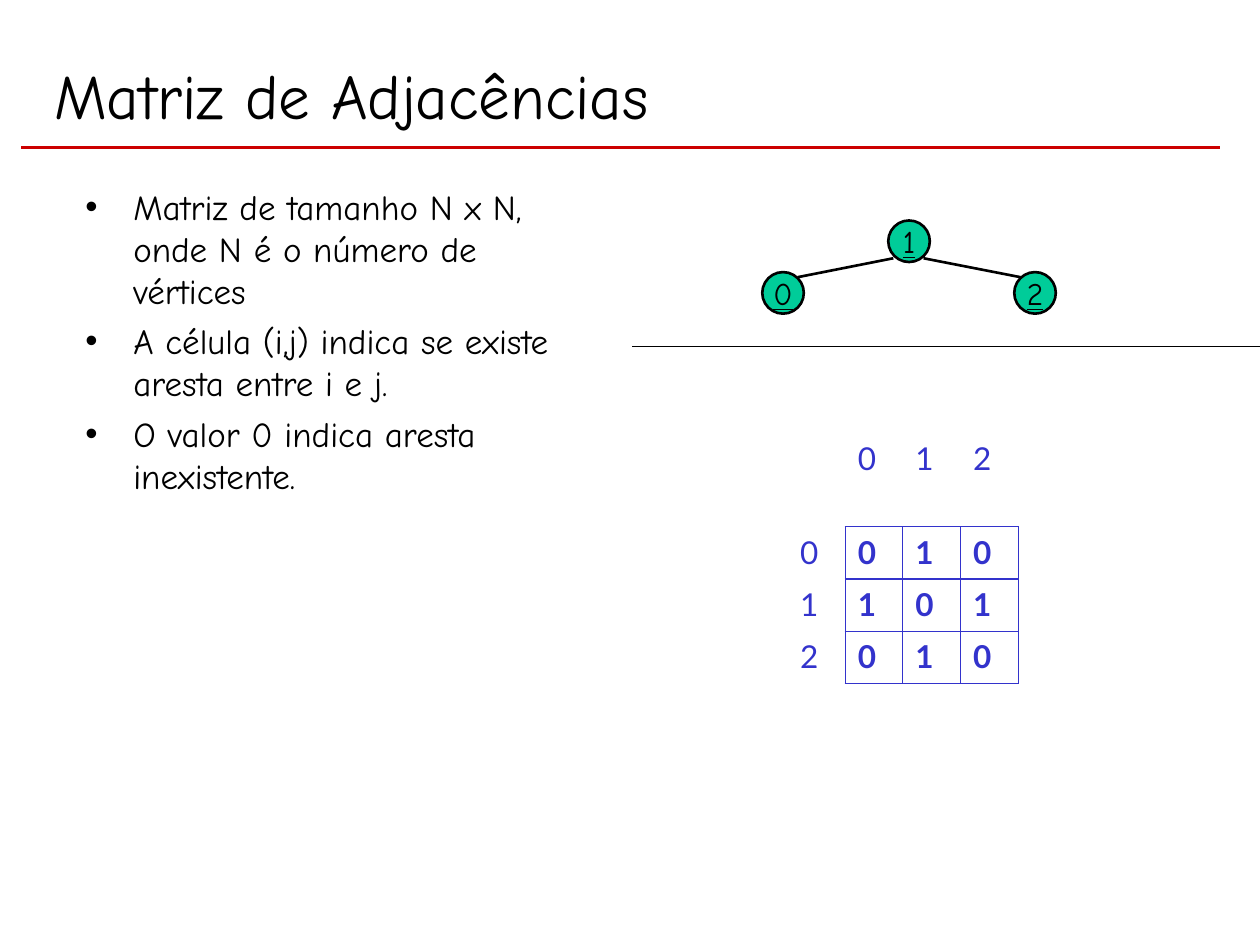
"""Build the adjacency matrix slide."""
import pptx
import pptx.dml.color
import pptx.enum.shapes
import pptx.enum.text
import pptx.oxml
import pptx.oxml.ns
import pptx.util
from pptx.util import Inches, Pt

COLORS = {"black": "000000", "red": "CC0000", "green": "00CC99", "blue": "3333CC"}
TEXT_FONT, TABLE_FONT = "Comic Neue", "Lato"
TITLE = "Matriz de Adjacências"
BULLETS = [
    "Matriz de tamanho N x N, onde N é o número de vértices",
    "A célula (i,j) indica se existe aresta entre i e j.",
    "O valor 0 indica aresta inexistente.",
]
VERTICES = [("0", 6.05, 2.16), ("1", 7.05, 1.75), ("2", 8.05, 2.16)]
VERTEX_SIZE = 0.33
LINES = [
    ((0.17, 1.17), (9.68, 1.17), "red", 1.5),
    ((7.33, 2.05), (8.1, 2.2), "black", 1.5),
    ((7.09, 2.05), (6.33, 2.2), "black", 1.5),
    ((5.02, 2.75), (10, 2.75), "black", 0.75),
]
MATRIX = [
    ["", "0", "1", "2"],
    ["0", "0", "1", "0"],
    ["1", "1", "0", "1"],
    ["2", "0", "1", "0"],
]
COLUMN_WIDTH = 0.458
ROW_HEIGHTS = [0.74, 0.416, 0.416, 0.416]
PLAIN_TABLE_STYLE = "{2D5ABB26-0587-4C30-8999-92F81FD0307C}"


def rgb(name):
    return pptx.dml.color.RGBColor.from_string(COLORS[name])


def element(xml):
    namespaces = pptx.oxml.ns.nsdecls("a")
    return pptx.oxml.parse_xml(xml.replace(" ", f" {namespaces} ", 1))


def format_font(paragraph, size, name=TEXT_FONT, color="black", **flags):
    for run in paragraph.runs:
        font = run.font
        font.size, font.name = Pt(size), name
        font.color.rgb = rgb(color)
        for flag, value in flags.items():
            setattr(font, flag, value)


def add_title(slide):
    title = slide.shapes.title
    title.left, title.top, title.width, title.height = map(Inches, (0.33, 0.25, 9, 1))
    title.text_frame.text = TITLE
    title.text_frame.vertical_anchor = pptx.enum.text.MSO_ANCHOR.MIDDLE
    paragraph = title.text_frame.paragraphs[0]
    paragraph.alignment = pptx.enum.text.PP_ALIGN.LEFT
    format_font(paragraph, 36)


def add_bullets(slide):
    box = slide.shapes.add_textbox(*map(Inches, (0.58, 1.42, 4.17, 5.08)))
    box.text_frame.word_wrap = True
    box.text_frame.text = "\n".join(BULLETS)
    for paragraph in box.text_frame.paragraphs:
        paragraph.space_before = Pt(5)
        format_font(paragraph, 20)
        properties = paragraph._p.get_or_add_pPr()
        properties.set("marL", str(Inches(0.38)))
        properties.set("indent", str(-Inches(0.38)))
        properties.append(element('<a:buFont typeface="Arial"/>'))
        properties.append(element('<a:buChar char="•"/>'))


def add_vertex(slide, label, left, top):
    vertex = slide.shapes.add_shape(
        pptx.enum.shapes.MSO_SHAPE.OVAL,
        *map(Inches, (left, top, VERTEX_SIZE, VERTEX_SIZE)))
    vertex.shadow.inherit = False
    vertex.fill.solid()
    vertex.fill.fore_color.rgb = rgb("green")
    vertex.line.color.rgb = rgb("black")
    vertex.line.width = Pt(1.5)
    frame = vertex.text_frame
    frame.text = label
    frame.word_wrap = False
    frame.vertical_anchor = pptx.enum.text.MSO_ANCHOR.MIDDLE
    paragraph = frame.paragraphs[0]
    paragraph.alignment = pptx.enum.text.PP_ALIGN.CENTER
    format_font(paragraph, 18, underline=True)


def add_line(slide, start, end, color, width):
    line = slide.shapes.add_connector(
        pptx.enum.shapes.MSO_CONNECTOR.STRAIGHT, *map(Inches, start + end))
    line.line.color.rgb = rgb(color)
    line.line.width = Pt(width)
    line._element.spPr.append(element("<a:effectLst />"))


def add_borders(cell, sides):
    properties = cell._tc.get_or_add_tcPr()
    for side in sides:
        properties.append(element(
            f'<a:ln{side} w="{Pt(0.75)}"><a:solidFill>'
            f'<a:srgbClr val="{COLORS["blue"]}"/></a:solidFill></a:ln{side}>'))


def add_matrix(slide):
    count = len(MATRIX)
    table = slide.shapes.add_table(
        count, count, Inches(6.25), Inches(3.44),
        Inches(COLUMN_WIDTH * count), Inches(sum(ROW_HEIGHTS))).table
    table.first_row = table.horz_banding = False
    table._tbl.tblPr.find(pptx.oxml.ns.qn("a:tableStyleId")).text = PLAIN_TABLE_STYLE
    for column in table.columns:
        column.width = Inches(COLUMN_WIDTH)
    for i, (row, height) in enumerate(zip(MATRIX, ROW_HEIGHTS)):
        table.rows[i].height = Inches(height)
        for j, value in enumerate(row):
            cell = table.cell(i, j)
            is_value = i > 0 and j > 0
            cell.text_frame.text = value
            paragraph = cell.text_frame.paragraphs[0]
            paragraph.space_before = Pt(4.5)
            format_font(paragraph, 18, TABLE_FONT, "blue", bold=is_value)
            add_borders(cell, "LRTB" if is_value else "R" if i else "B" if j else "")
            cell.fill.background()


def main():
    presentation = pptx.Presentation()
    presentation.slide_width, presentation.slide_height = Inches(10), Inches(7.5)
    slide = presentation.slides.add_slide(presentation.slide_layouts[5])
    add_title(slide)
    add_bullets(slide)
    for vertex in VERTICES:
        add_vertex(slide, *vertex)
    for line in LINES:
        add_line(slide, *line)
    add_matrix(slide)
    presentation.save("out.pptx")


if __name__ == "__main__":
    main()
